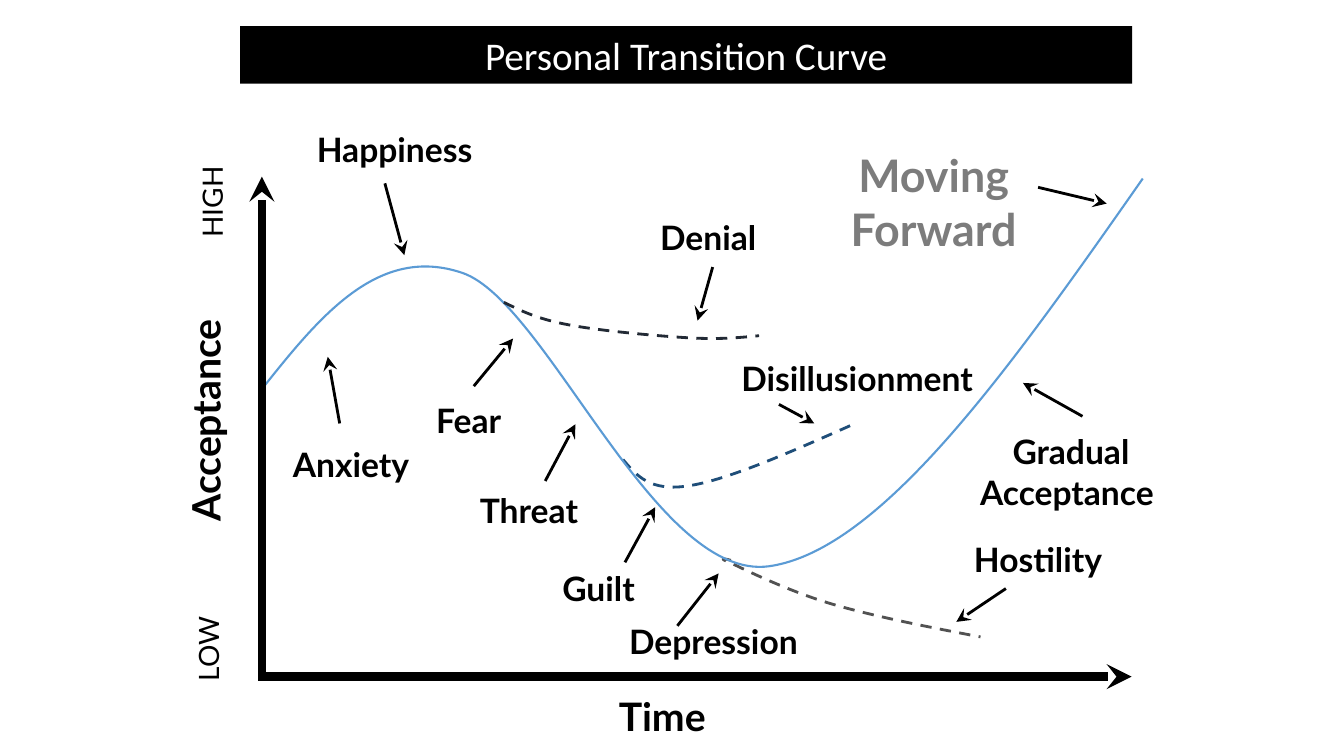
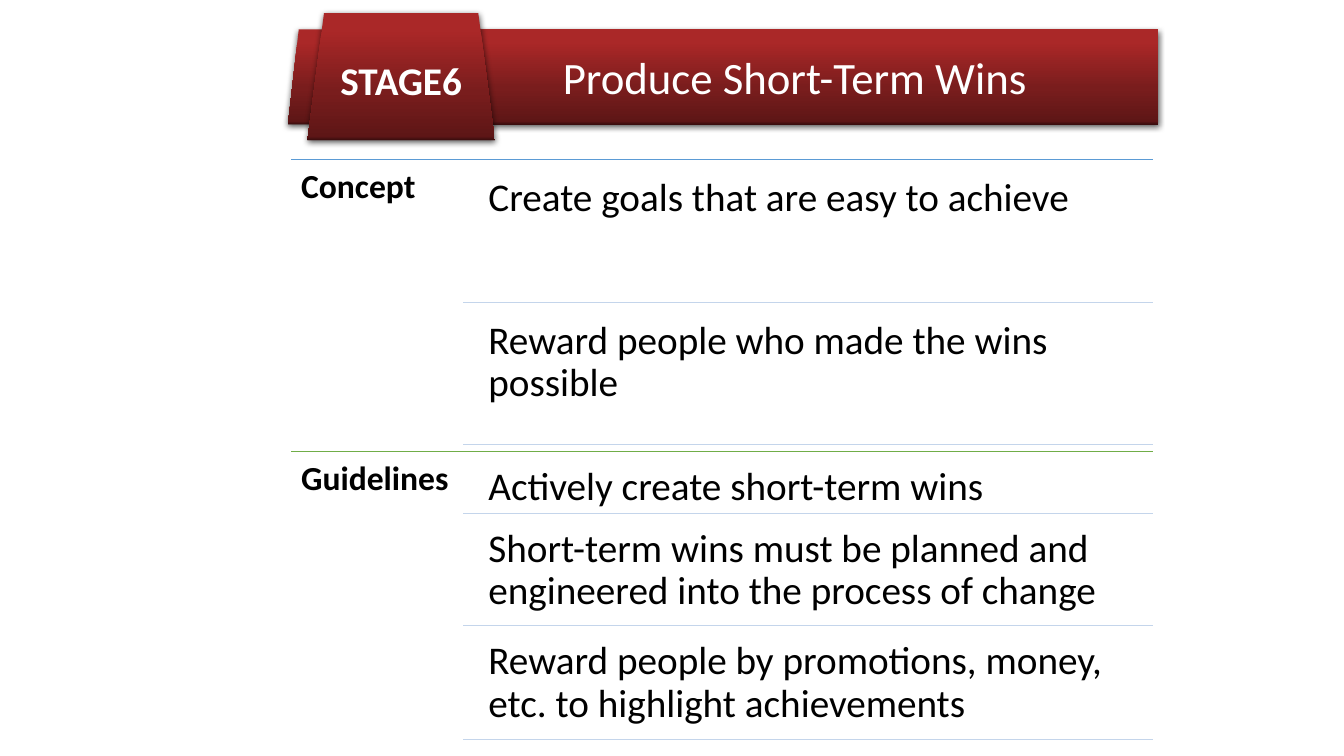
from lxml import etree
from pptx import Presentation
from pptx.dml.color import RGBColor
from pptx.enum.dml import MSO_LINE
from pptx.enum.shapes import MSO_CONNECTOR, MSO_SHAPE
from pptx.enum.text import MSO_ANCHOR, MSO_AUTO_SIZE, PP_ALIGN
from pptx.oxml import parse_xml
from pptx.oxml.ns import nsdecls, qn
from pptx.util import Cm, Pt

LEFT, CENTER = PP_ALIGN.LEFT, PP_ALIGN.CENTER
TOP, MIDDLE = MSO_ANCHOR.TOP, MSO_ANCHOR.MIDDLE
DASH, STRAIGHT = MSO_LINE.DASH, MSO_CONNECTOR.STRAIGHT
TRAPEZOID = MSO_SHAPE.TRAPEZOID
NO_FIT = MSO_AUTO_SIZE.NONE

BLACK, WHITE, GREY = "000000", "FFFFFF", "7C7C7C"
BLUE, PALE, GREEN = "5B9BD5", "C4D5EB", "70AD47"
REDS = [(0, "AA2828"), (15, "A92727"), (62, "791D1D"), (97, "5E1616"),
        (100, "3B0D0E")]
HEAD, BODY = "Calibri", "Lato"

# Each curve: colour, width, dash, then a start point and Bezier triples
CURVES = [
    ("525252", 2, DASH, [
        (18.42, 14.12), (18.24, 14.07), (18.06, 14.05), (18.49, 14.22),
        (18.92, 14.43), (19.99, 14.94), (21.03, 15.24),
        (22.07, 15.54), (23.39, 15.8), (24.71, 16.05)]),
    ("1F4E79", 2, DASH, [
        (15.7, 11.58), (16.05, 11.99), (16.38, 12.4), (17.37, 12.24),
        (18.34, 12.09), (19.91, 11.4), (21.51, 10.69)]),
    (BLUE, 1.5, None, [
        (6.58, 9.83), (8.05, 7.98), (9.53, 6.15), (11.66, 6.88),
        (13.79, 7.62), (16.51, 14.66), (19.38, 14.27),
        (22.23, 13.87), (25.53, 9.17), (28.8, 4.5)]),
    ("222A35", 2, DASH, [
        (12.7, 7.62), (13.11, 7.82), (13.51, 8.03), (14.3, 8.18),
        (15.06, 8.33), (16.48, 8.46), (17.3, 8.51),
        (18.11, 8.56), (18.62, 8.51), (19.13, 8.46)]),
]

# Each feeling: text, box, arrow start, arrow end
FEELINGS = [
    ("Anxiety", (6.05, 11.07, 5.59, 1.6), (8.56, 10.67), (8.26, 8.99)),
    ("Happiness", (7.14, 3.12, 5.61, 1.6), (9.7, 4.62), (10.19, 6.43)),
    ("Fear", (10.11, 9.96, 3.4, 1.6), (11.94, 9.73), (12.93, 8.53)),
    ("Threat", (11.63, 12.22, 3.4, 1.6), (13.74, 12.12), (14.5, 10.69)),
    ("Guilt ", (13.49, 14.18, 3.4, 1.6), (15.75, 14.17), (16.51, 12.78)),
    ("Depression", (15.34, 15.52, 5.28, 1.6), (17.07, 15.77),
     (18.11, 14.45)),
    ("Disillusionment", (18.11, 8.9, 6.98, 1.4), (19.63, 10.19),
     (20.52, 10.67)),
    ("Hostility", (23.52, 13.46, 5.28, 1.6), (25.35, 14.83), (24.1, 15.67)),
    ("Denial", (15.19, 5.33, 5.31, 1.4), (17.96, 6.73), (17.58, 8.08)),
    ("Gradual Acceptance ", (24.36, 10.74, 5.26, 2.29), (27.28, 10.49),
     (25.78, 9.65)),
]

# Each section: label, top, rule colour, gap above a row, (text, row end)
SECTIONS = [
    ("Concept", 4.01, BLUE, 0.16, [
        ("Create goals that are easy to achieve", 7.62),
        ("Reward people who made the wins possible", 11.2)]),
    ("Guidelines", 11.38, GREEN, 0.08, [
        ("Actively create short-term wins", 12.93),
        ("Short-term wins must be planned and engineered into the process "
         "of change", 15.77),
        ("Reward people by promotions, money, etc. to highlight "
         "achievements", 18.64)]),
]


def rgb(code):
    return RGBColor.from_string(code)


def write(shape, text, size=24, font=BODY, color=BLACK, bold=False,
          align=CENTER, anchor=TOP, space=None, inset=None):
    frame = shape.text_frame
    frame.word_wrap = True
    frame.auto_size = NO_FIT
    frame.vertical_anchor = anchor
    if inset is not None:
        frame.margin_left = frame.margin_right = Cm(inset)
        frame.margin_top = frame.margin_bottom = Cm(inset)
    frame.text = text
    para = frame.paragraphs[0]
    para.alignment = align
    if space:
        para.line_spacing = space
    style = para.font
    style.name, style.size, style.bold = font, Pt(size), bold
    style.color.rgb = rgb(color)


def label(slide, text, box, turn=0, **form):
    shape = slide.shapes.add_textbox(*map(Cm, box))
    shape.rotation = turn
    write(shape, text, **form)


def title(slide, text, box, size):
    """Place the title in front of all that is on the slide so far."""
    shape = slide.shapes.title
    shape.left, shape.top, shape.width, shape.height = map(Cm, box)
    write(shape, text, size=size, font=HEAD, color=WHITE, anchor=MIDDLE)
    slide.shapes._spTree.append(shape._element)
    return shape


def line(slide, start, end, color=BLACK, width=2.0, head=None):
    """Add a straight line; head is the size of its arrowhead, if any."""
    rule = slide.shapes.add_connector(STRAIGHT, *map(Cm, start + end))
    rule.line.width = Pt(width)
    rule.line.color.rgb = rgb(color)
    if head:
        edge = rule.line._get_or_add_ln()
        etree.SubElement(edge, qn("a:tailEnd"), type="stealth", w=head,
                         len=head)
    etree.SubElement(rule._element.spPr, qn("a:effectLst"))


def curve(slide, color, width, dash, points):
    """Join every third point by a Bezier curve; the rest are its handles."""
    path = [(Cm(x), Cm(y)) for x, y in points]
    pen = slide.shapes.build_freeform(*path[0])
    pen.add_line_segments(path[3::3], close=False)
    shape = pen.convert_to_shape()
    outline = shape._element.spPr.find(".//" + qn("a:path"))
    for i, old in enumerate(outline.findall(qn("a:lnTo"))):
        bend = etree.Element(qn("a:cubicBezTo"))
        for x, y in path[3 * i + 1:3 * i + 4]:
            etree.SubElement(bend, qn("a:pt"), x=str(x - shape.left),
                             y=str(y - shape.top))
        outline.replace(old, bend)
    shape.shadow.inherit = False
    shape.fill.background()
    shape.line.color.rgb = rgb(color)
    shape.line.width = Pt(width)
    if dash:
        shape.line.dash_style = dash


def shade(shape):
    """Give a shape the red gradient and a soft shadow below it."""
    shape.line.fill.background()
    shape.fill.gradient()
    shape.shadow.inherit = False
    props = shape._element.spPr
    stops = "".join(f'<a:gs pos="{pos * 1000}"><a:srgbClr val="{code}"/></a:gs>'
                    for pos, code in REDS)
    props.replace(props.find(qn("a:gradFill")), parse_xml(
        f'<a:gradFill {nsdecls("a")} rotWithShape="1"><a:gsLst>{stops}'
        '</a:gsLst><a:lin ang="5400000" scaled="0"/></a:gradFill>'))
    props.find(qn("a:effectLst")).append(parse_xml(
        f'<a:outerShdw {nsdecls("a")} blurRad="{Pt(4.5)}" dist="{Pt(1.5)}" '
        'dir="5400000" rotWithShape="0"><a:srgbClr val="000000">'
        '<a:alpha val="63000"/></a:srgbClr></a:outerShdw>'))


def plate(slide, box):
    shape = slide.shapes.add_shape(TRAPEZOID, *map(Cm, box))
    shape.adjustments[0] = 0.13
    shade(shape)
    return shape


def section(slide, name, top, color, gap, rows):
    left, split, right = 7.34, 11.68, 29.06
    inner = split + 0.33
    line(slide, (left, top), (right, top), color, 0.5)
    label(slide, name, (left, top, split - left, rows[-1][1] - top),
          font=HEAD, bold=True, align=LEFT, space=0.9, inset=0.25)
    for text, end in rows:
        start = top + gap
        label(slide, text, (inner, start, right - inner, end - start),
              size=28, font=HEAD, align=LEFT, space=0.9, inset=0.3)
        line(slide, (split, end), (right, end), PALE, 0.5)
        top = end


def transition(slide):
    for item in CURVES:
        curve(slide, *item)
    line(slide, (6.6, 17.05), (28.52, 17.05), width=6, head="med")
    line(slide, (6.6, 17.15), (6.6, 4.45), width=6, head="med")
    label(slide, "Time", (12.7, 17.32, 7.98, 1.6), size=28, bold=True)
    label(slide, "HIGH", (3.45, 4.45, 3.94, 1.27), turn=270, size=20)
    label(slide, "LOW", (3.4, 15.67, 3.94, 1.35), turn=270, size=20)
    label(slide, "Acceptance", (0.08, 9.88, 10.16, 1.42), turn=270, size=28,
          bold=True)
    for text, box, start, end in FEELINGS:
        label(slide, text, box, bold=True)
        line(slide, start, end, head="lg")
    label(slide, "Moving Forward", (20.9, 3.6, 5.26, 2.29), size=32,
          color=GREY, bold=True)
    line(slide, (26.16, 4.72), (27.89, 5.13), head="lg")
    bar = title(slide, "Personal Transition Curve", (6.05, 0.66, 22.48, 1.45),
                28)
    bar.fill.solid()
    bar.fill.fore_color.rgb = rgb(BLACK)


def wins(slide):
    plate(slide, (7.26, 0.74, 2.08, 2.39))
    for item in SECTIONS:
        section(slide, *item)
    band = title(slide, "Produce Short-Term Wins ",
                 (11.13, 0.74, 18.06, 2.39), 32)
    band._element.spPr.append(parse_xml(
        f'<a:prstGeom {nsdecls("a")} prst="trapezoid"><a:avLst>'
        '<a:gd name="adj" fmla="val 13000"/></a:avLst></a:prstGeom>'))
    shade(band)
    badge = plate(slide, (7.75, 0.33, 4.72, 3.2))
    write(badge, "STAGE6", size=28, font=HEAD, color=WHITE, bold=True,
          anchor=MIDDLE)


def main():
    deck = Presentation()
    deck.slide_width, deck.slide_height = Cm(33.87), Cm(19.05)
    layout = deck.slide_layouts.get_by_name("Title Only")
    for build in (transition, wins):
        build(deck.slides.add_slide(layout))
    deck.save("out.pptx")


if __name__ == "__main__":
    main()
